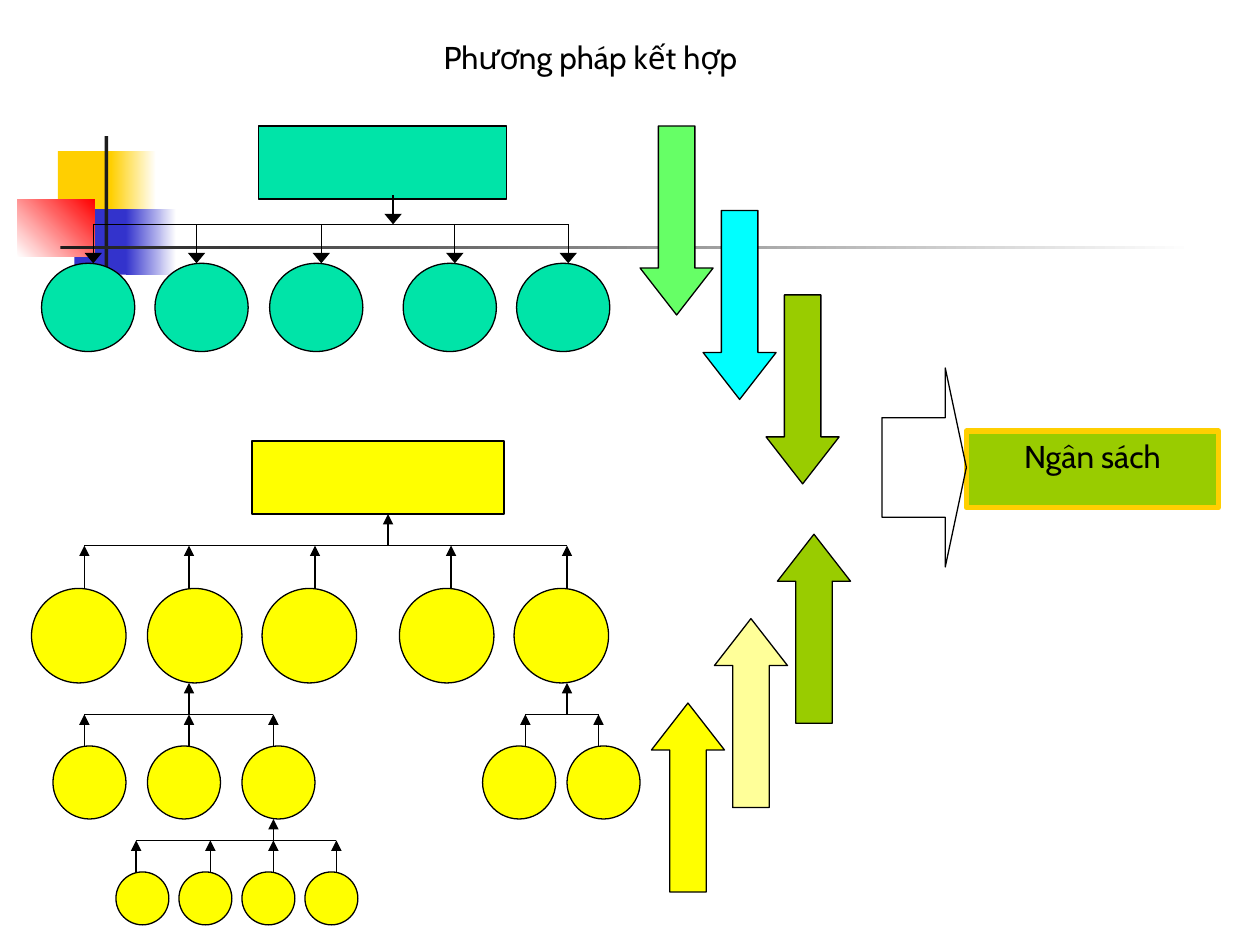
from lxml import etree
from pptx import Presentation
from pptx.dml.color import RGBColor
from pptx.enum import shapes, text
from pptx.oxml.ns import qn
from pptx.util import Inches, Pt

FONT = "Cabin"
KIND = shapes.MSO_SHAPE
HEX = {
    "black": "000000", "white": "FFFFFF", "ink": "1C1C1C", "gold": "FFCF01",
    "blue": "3333CC", "red": "FF0000", "teal": "00E4A8", "yellow": "FFFF00",
    "cream": "FFFF99", "olive": "99CC00", "green": "66FF66", "cyan": "00FFFF",
}


def color(name):
    """Return the RGB value of a palette name."""
    return RGBColor.from_string(HEX[name])


def write(shape, words, size=18, tint="black", align="LEFT", wrap=True):
    """Put formatted text in a shape, starting at its top."""
    frame = shape.text_frame
    frame.word_wrap = wrap
    frame.auto_size = text.MSO_AUTO_SIZE.NONE
    frame.vertical_anchor = text.MSO_ANCHOR.TOP
    para = frame.paragraphs[0]
    para.alignment = getattr(text.PP_ALIGN, align)
    run = para.add_run()
    run.text = words
    run.font.name, run.font.size = FONT, Pt(size)
    run.font.color.rgb = color(tint)


def draw(tree, kind, box, fill=None, line="black", width=0.75):
    """Add a preset shape; a pair of fill names makes a gradient."""
    shape = tree.add_shape(kind, *map(Inches, box))
    shape.shadow.inherit = False
    if fill is None:
        shape.fill.background()
    elif isinstance(fill, tuple):
        shape.fill.gradient()
        shape.fill.gradient_angle = 0
        for stop, name in zip(shape.fill.gradient_stops, fill):
            stop.color.rgb = color(name)
    else:
        shape.fill.solid()
        shape.fill.fore_color.rgb = color(fill)
    if line:
        shape.line.color.rgb = color(line)
        shape.line.width = Pt(width)
    else:
        shape.line.fill.background()
    return shape


def link(tree, start, end, head=None):
    """Add a straight line, with an arrowhead of the given width at its end."""
    line = tree.add_connector(shapes.MSO_CONNECTOR.STRAIGHT,
                              *map(Inches, (*start, *end)))
    line.line.color.rgb = color("black")
    line.line.width = Pt(0.75)
    if head:
        etree.SubElement(line.line._get_or_add_ln(), qn("a:tailEnd"),
                         type="triangle", w=head, len="med")
    etree.SubElement(line._element.spPr, qn("a:effectLst"))


def row(tree, lefts, top, wide, high, fill):
    """Add a row of equal ellipses."""
    for left in lefts:
        draw(tree, KIND.OVAL, (left, top, wide, high), fill)


def branch(tree, stem, top, bar, low, drops, up=True):
    """Join a parent at the top to its children through a level bar."""
    link(tree, (drops[0], bar), (drops[-1], bar))
    spans = [(stem, top, bar)] + [(x, bar, low) for x in drops]
    for x, high, deep in spans:
        if up:
            link(tree, (x, deep), (x, high), "med")
        else:
            link(tree, (x, high), (x, deep), "lg")


def decor(tree):
    """Add the coloured blocks and rules behind the content."""
    blocks = [
        ((0.46, 1.2, 0.48, 0.52), "gold"),
        ((0.88, 1.2, 0.36, 0.52), ("gold", "white")),
        ((0.59, 1.66, 0.46, 0.52), "blue"),
        ((1, 1.66, 0.4, 0.52), ("blue", "white")),
        ((0.14, 1.58, 0.61, 0.46), ("white", "red")),
        ((0.83, 1.08, 0.03, 1.15), "ink"),
        ((0.48, 1.95, 9, 0.03), ("ink", "white")),
    ]
    for box, fill in blocks:
        block = draw(tree, KIND.RECTANGLE, box, fill, line=None)
        if fill == ("white", "red"):
            block.fill.gradient_angle = 45


def top_down(tree):
    """Add the tree whose arrows run downwards."""
    draw(tree, KIND.RECTANGLE, (2.05, 1, 1.97, 0.58), "teal")
    row(tree, (0.33, 1.23, 2.14, 3.2, 4.1), 2.09, 0.74, 0.7, "teal")
    branch(tree, 3.12, 1.55, 1.78, 2.09,
           (0.74, 1.56, 2.55, 3.61, 4.51), up=False)


def bottom_up(tree):
    """Add the tree whose arrows run upwards."""
    draw(tree, KIND.RECTANGLE, (2, 3.5, 2, 0.58), "yellow")
    rows = [
        ((0.25, 1.17, 2.08, 3.17, 4.08), 4.67, 0.75),
        ((0.42, 1.17, 1.92, 3.83, 4.5), 5.92, 0.58),
        ((0.92, 1.42, 1.92, 2.42), 6.92, 0.42),
    ]
    for lefts, top, size in rows:
        row(tree, lefts, top, size, size, "yellow")
    branch(tree, 3.08, 4.08, 4.33, 4.67, (0.67, 1.5, 2.5, 3.58, 4.5))
    branch(tree, 1.5, 5.42, 5.67, 5.92, (0.67, 1.5, 2.17))
    branch(tree, 4.5, 5.42, 5.67, 5.92, (4.17, 4.75))
    branch(tree, 2.17, 6.5, 6.67, 6.92, (1.08, 1.67, 2.17, 2.67))


def stairs(tree, left, top, rise, fills, turn=0):
    """Add block arrows that step half an inch to the right."""
    for i, fill in enumerate(fills):
        box = (left + i * 0.5, top + i * rise, 0.58, 1.5)
        arrow = draw(tree, KIND.UP_ARROW, box, fill)
        arrow.adjustments[0], arrow.adjustments[1] = 0.5, 0.643
        arrow.rotation = turn


def result(tree):
    """Add the budget box and the arrow that leads to it."""
    box = draw(tree, KIND.RECTANGLE, (7.67, 3.42, 2, 0.61), "olive", "gold", 3)
    write(box, "Ngân sách", align="CENTER")
    arrow = draw(tree, KIND.RIGHT_ARROW, (7, 2.92, 0.67, 1.58))
    arrow.adjustments[0], arrow.adjustments[1] = 0.5, 0.25


def main():
    """Build and save the slide."""
    deck = Presentation()
    deck.slide_width, deck.slide_height = Inches(10), Inches(7.5)
    slide = deck.slides.add_slide(deck.slide_layouts[5])
    tree = slide.shapes
    title = tree.title
    title.left, title.top = Inches(3.42), Inches(0.25)
    title.width, title.height = Inches(3.53), Inches(0.57)
    write(title, "Phương pháp kết hợp", wrap=False)
    decor(tree)
    top_down(tree.add_group_shape().shapes)
    bottom_up(tree.add_group_shape().shapes)
    result(tree)
    stairs(tree, 5.08, 1, 0.67, ("green", "cyan", "olive"), turn=180)
    stairs(tree, 5.17, 5.58, -0.67, ("yellow", "cream", "olive"))
    deck.save("out.pptx")


main()
